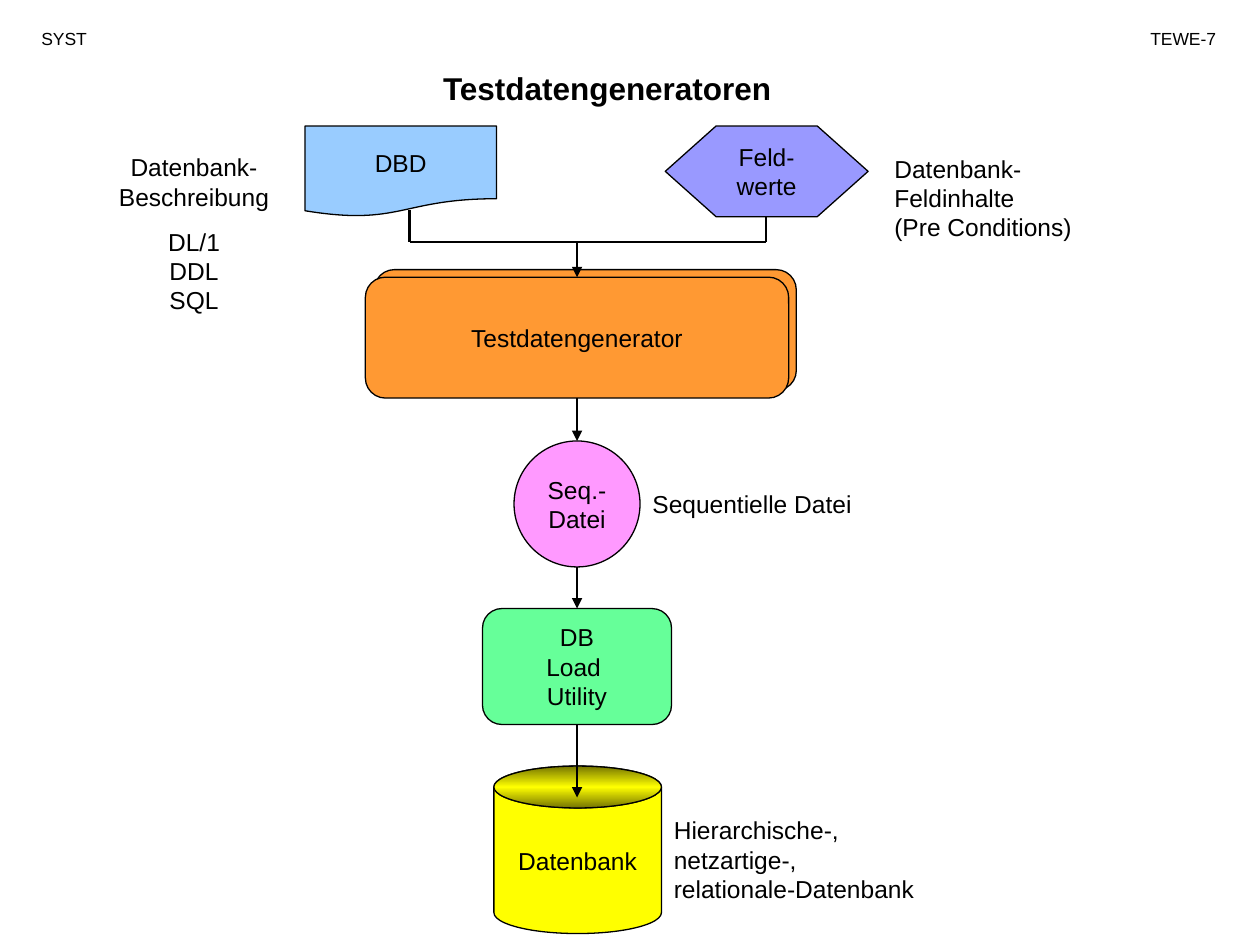
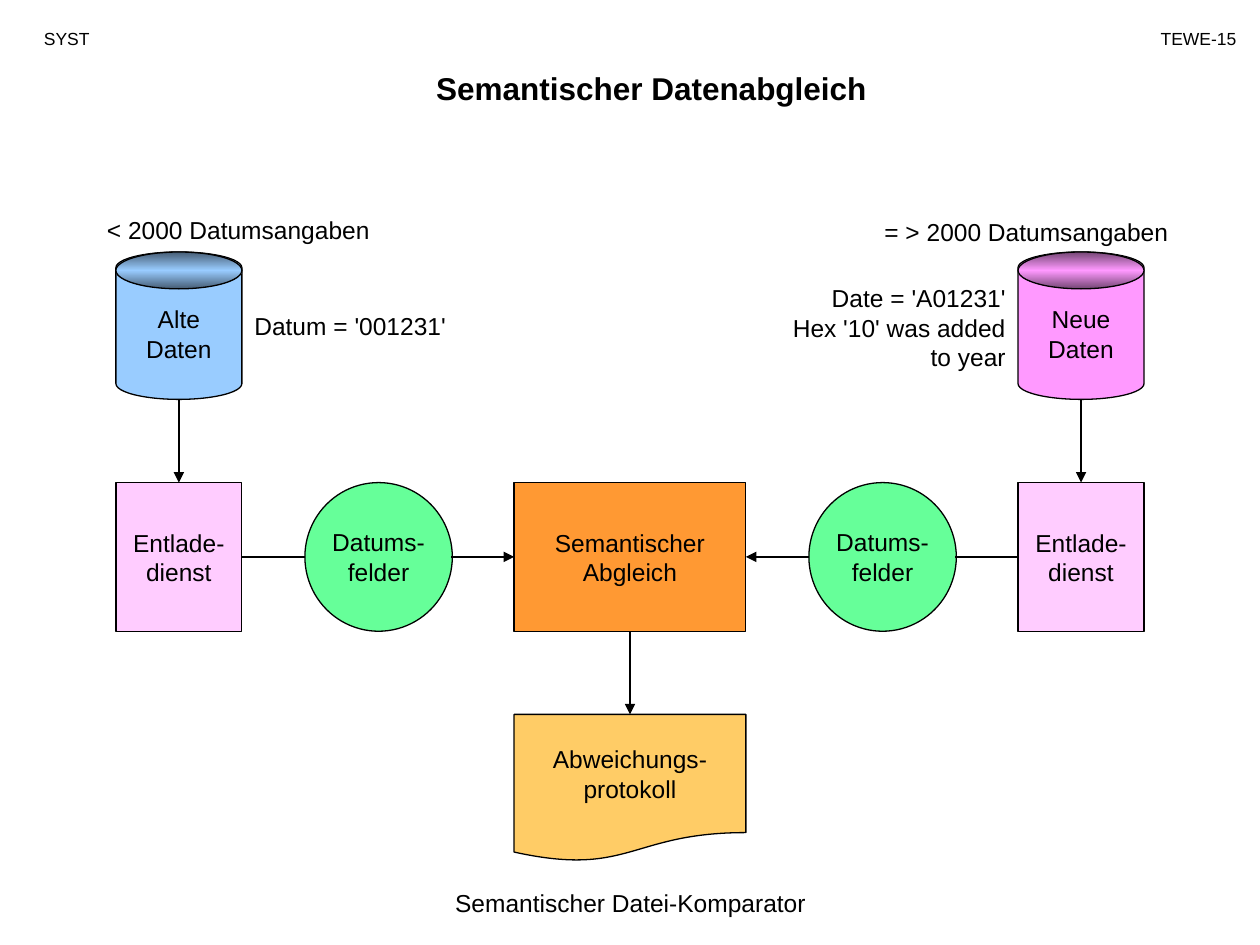
"""Build two flow diagrams: test data generators and semantic data comparison."""
from dataclasses import dataclass

from lxml.etree import SubElement
from pptx import Presentation
from pptx.dml.color import RGBColor
from pptx.enum.shapes import MSO_CONNECTOR, MSO_SHAPE
from pptx.enum.text import MSO_ANCHOR, MSO_AUTO_SIZE, PP_ALIGN
from pptx.oxml.ns import qn
from pptx.util import Inches, Pt


@dataclass(frozen=True)
class Theme:
    font: str = "Arial"
    title_size: int = 18
    body_size: int = 14
    header_size: int = 10
    outline: float = 0.75
    arrow: float = 1.5
    paragraph_gap: float = 8.8
    lid_shade: float = 0.46
    black: str = "000000"
    blue: str = "99CCFF"
    violet: str = "9999FF"
    orange: str = "FF9933"
    amber: str = "FFCC66"
    pink: str = "FF99FF"
    rose: str = "FFCCFF"
    green: str = "66FF99"
    yellow: str = "FFFF00"


theme = Theme()
LEFT, CENTER, RIGHT = PP_ALIGN.LEFT, PP_ALIGN.CENTER, PP_ALIGN.RIGHT
TOP_SIDE, LEFT_SIDE, BOTTOM_SIDE, RIGHT_SIDE = range(4)
RECT, ROUNDED, OVAL = MSO_SHAPE.RECTANGLE, MSO_SHAPE.ROUNDED_RECTANGLE, MSO_SHAPE.OVAL
CAN, DOCUMENT, HEXAGON = MSO_SHAPE.CAN, MSO_SHAPE.FLOWCHART_DOCUMENT, MSO_SHAPE.HEXAGON


def write(box, paragraphs, align, size=theme.body_size, bold=False, gap=0):
    frame = box.text_frame
    for number, text in enumerate(paragraphs):
        para = frame.add_paragraph() if number else frame.paragraphs[0]
        para.alignment = align
        if number:
            para.space_before = Pt(gap)
        for row, line in enumerate(text.split("\n")):
            if row:
                para.add_line_break()
            span = para.add_run()
            span.text = line
            span.font.name = theme.font
            span.font.size = Pt(size)
            span.font.bold = bold
            span.font.color.rgb = RGBColor.from_string(theme.black)


def add_shape(page, kind, at, fill):
    shape = page.shapes.add_shape(kind, *map(Inches, at))
    shape.shadow.inherit = False
    shape.fill.solid()
    shape.fill.fore_color.rgb = RGBColor.from_string(fill)
    shape.line.color.rgb = RGBColor.from_string(theme.black)
    shape.line.width = Pt(theme.outline)
    return shape


axis = 4.58
bus = 1.92
generator_slide = {
    "title": ("Testdatengeneratoren", (1.22, 0.5, 7.2, 0.4)),
    "course": ("SYST", (0.23, 0.17, 1.1, 0.27)),
    "number": ("TEWE-7", (8.75, 0.17, 1, 0.27)),
    "nodes": {
        "generator copy": (ROUNDED, (2.97, 2.14, 3.35, 0.96), theme.orange, ()),
        "generator": (ROUNDED, (2.9, 2.2, 3.36, 0.96), theme.orange, ("Testdatengenerator",)),
        "description": (DOCUMENT, (2.42, 1, 1.52, 0.72), theme.blue, ("DBD",)),
        "values": (HEXAGON, (5.28, 1, 1.61, 0.72), theme.violet, ("Feld-", "werte")),
        "file": (OVAL, (4.08, 3.5, 1, 1), theme.pink, ("Seq.-", "Datei")),
        "loader": (ROUNDED, (3.83, 4.83, 1.5, 0.92), theme.green, ("DB\nLoad ", "Utility")),
        "database": (CAN, (3.92, 6.08, 1.33, 1.33), theme.yellow, ("Datenbank",)),
    },
    "links": [
        (("generator", BOTTOM_SIDE), (axis, 3.5), True),
        ((axis, 4.5), ("loader", TOP_SIDE), True),
        (("loader", BOTTOM_SIDE), (axis, 6.33), True),
        ((axis, bus), ("generator", TOP_SIDE), True),
        ((6.08, 1.72), (6.08, bus), False),
        ((3.25, 1.67), (3.25, bus), False),
        ((3.25, bus), (6.08, bus), False),
    ],
    "labels": [
        (("Sequentielle Datei",), (5.08, 3.83, 2.17, 0.34), LEFT),
        (("Hierarchische-,\nnetzartige-,\nrelationale-Datenbank",), (5.25, 6.42, 2.83, 0.8), LEFT),
        (("Datenbank-\nBeschreibung", "DL/1\nDDL\nSQL"), (0.75, 1.16, 1.58, 1.39), CENTER),
        (("Datenbank-\nFeldinhalte\n(Pre Conditions)",), (7, 1.17, 2, 0.8), LEFT),
    ],
}

row_top, row_height = 3.83, 1.18
row_middle = 4.42
compare_slide = {
    "title": ("Semantischer Datenabgleich", (2.17, 0.5, 6, 0.4)),
    "course": ("SYST", (0.25, 0.17, 0.92, 0.27)),
    "number": ("TEWE-15", (8.83, 0.17, 1.08, 0.27)),
    "nodes": {
        "compare": (RECT, (4.08, row_top, 1.84, row_height), theme.orange, ("Semantischer", "Abgleich")),
        "report": (DOCUMENT, (4.08, 5.67, 1.84, 1.17), theme.amber, ("Abweichungs-", "protokoll")),
    },
    "links": [(("compare", BOTTOM_SIDE), ("report", TOP_SIDE), True)],
    "labels": [
        (("Semantischer Datei-Komparator",), (3.42, 7, 3.17, 0.34), CENTER),
        (("< 2000 Datumsangaben",), (0.75, 1.66, 2.92, 0.34), LEFT),
        (("= > 2000 Datumsangaben",), (6.92, 1.67, 2.92, 0.34), LEFT),
        (("Datum = '001231'",), (1.92, 2.42, 2.08, 0.34), LEFT),
        (("Date = 'A01231'\nHex '10' was added\nto year",), (6, 2.2, 2.08, 0.8), RIGHT),
    ],
}
branches = [
    ("Alte", theme.blue, 0.92, 2.42, RIGHT_SIDE, LEFT_SIDE, 2.42, 3.58),
    ("Neue", theme.pink, 8.08, 6.42, LEFT_SIDE, RIGHT_SIDE, 7.58, 6.42),
]
for age, fill, unload_left, field_left, exit_side, entry_side, field_in, field_out in branches:
    unload = f"{age} unload"
    compare_slide["nodes"].update({
        f"{age} fields": (OVAL, (field_left, row_top, 1.17, row_height), theme.green, ("Datums-", "felder")),
        unload: (RECT, (unload_left, row_top, 1, row_height), theme.rose, ("Entlade-", "dienst")),
        f"{age} data": (CAN, (unload_left, 2, 1, 1.17), fill, (age, "Daten")),
    })
    compare_slide["links"] += [
        ((unload, exit_side), (field_in, row_middle), False),
        ((field_out, row_middle), ("compare", entry_side), True),
        ((unload_left + 0.5, 3.17), (unload, TOP_SIDE), True),
    ]

deck = Presentation()
deck.slide_width, deck.slide_height = Inches(10), Inches(7.5)

for content in (generator_slide, compare_slide):
    page = deck.slides.add_slide(deck.slide_layouts[6])
    texts = []
    for part, align, size, bold in (
        ("title", CENTER, theme.title_size, True),
        ("course", LEFT, theme.header_size, False),
        ("number", RIGHT, theme.header_size, False),
    ):
        wording, at = content[part]
        texts.append(((wording,), at, align, size, bold))
    texts += [(*label, theme.body_size, False) for label in content["labels"]]

    nodes = {}
    for name, (kind, at, fill, paragraphs) in content["nodes"].items():
        node = nodes[name] = add_shape(page, kind, at, fill)
        if kind == HEXAGON:
            node.adjustments[0] = 0.56
        if paragraphs:
            node.text_frame.word_wrap = False
            node.text_frame.vertical_anchor = MSO_ANCHOR.MIDDLE
            write(node, paragraphs, CENTER)
        if kind == CAN:
            left, top, width, height = at
            lid = add_shape(page, OVAL, (left, top, width, height / 4), fill)
            shade = "".join(f"{int(channel * theme.lid_shade):02X}" for channel in RGBColor.from_string(fill))
            lid.fill.gradient()
            lid.fill.gradient_angle = 90
            stops = lid.fill._fill._gradFill.find(qn("a:gsLst"))
            for stop in list(stops):
                stops.remove(stop)
            for percent, color in ((0, shade), (50, fill), (100, shade)):
                stop = SubElement(stops, qn("a:gs"), pos=str(percent * 1000))
                SubElement(stop, qn("a:srgbClr"), val=color)

    for start, end, has_arrow in content["links"]:
        points = [(0, 0) if target[0] in nodes else target for target in (start, end)]
        link = page.shapes.add_connector(
            MSO_CONNECTOR.STRAIGHT, *[Inches(value) for point in points for value in point])
        if start[0] in nodes:
            link.begin_connect(nodes[start[0]], start[1])
        if end[0] in nodes:
            link.end_connect(nodes[end[0]], end[1])
        link.line.color.rgb = RGBColor.from_string(theme.black)
        link.line.width = Pt(theme.arrow)
        if has_arrow:
            SubElement(link.line._get_or_add_ln(), qn("a:tailEnd"), type="triangle")
        SubElement(link._element.spPr, qn("a:effectLst"))

    for paragraphs, at, align, size, bold in texts:
        box = page.shapes.add_textbox(*map(Inches, at))
        box.text_frame.word_wrap = True
        box.text_frame.auto_size = MSO_AUTO_SIZE.SHAPE_TO_FIT_TEXT
        write(box, paragraphs, align, size, bold, theme.paragraph_gap)

deck.save("out.pptx")
